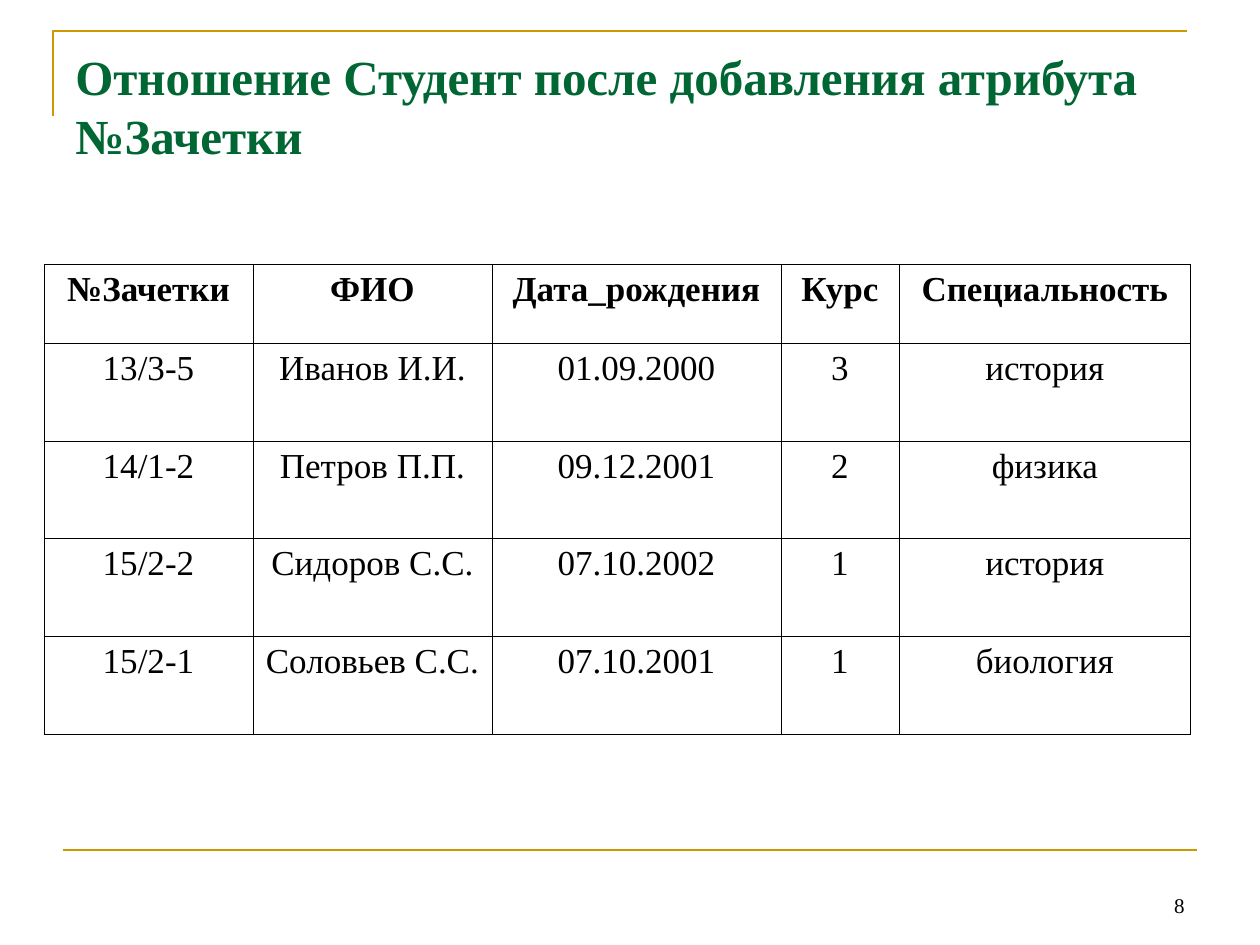
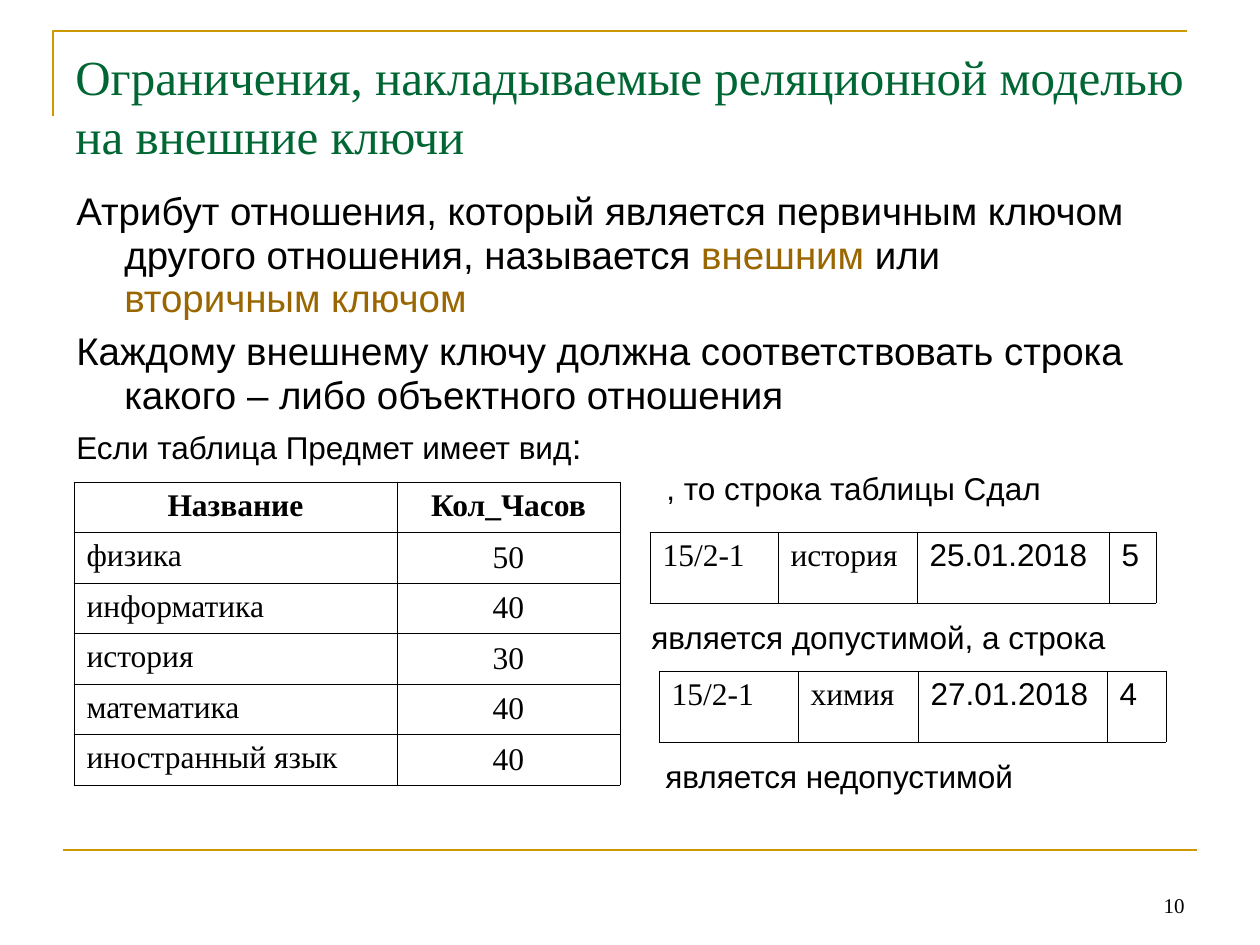
import pptx
import pptx.util
import pptx.dml.color
import pptx.enum.shapes
import pptx.enum.text
import pptx.oxml
import pptx.oxml.ns
import pptx.oxml.xmlchemy

SERIF, SANS = "Times New Roman", "Arial"
COLORS = {"gold": "CC9900", "green": "006633", "brown": "996600", "black": "000000"}
ALIGN = pptx.enum.text.PP_ALIGN
ANCHOR = pptx.enum.text.MSO_ANCHOR

STUDENTS = [
    ("№Зачетки", "ФИО", "Дата_рождения", "Курс", "Специальность"),
    ("13/3-5", "Иванов И.И.", "01.09.2000", "3", "история"),
    ("14/1-2", "Петров П.П.", "09.12.2001", "2", "физика"),
    ("15/2-2", "Сидоров С.С.", "07.10.2002", "1", "история"),
    ("15/2-1", "Соловьев С.С.", "07.10.2001", "1", "биология"),
]
SUBJECTS = [
    ("Название", "Кол_Часов"),
    ("физика", "50"),
    ("информатика", "40"),
    ("история", "30"),
    ("математика", "40"),
    ("иностранный язык", "40"),
]
KEY_RULES = [
    [("Атрибут отношения, который является первичным ключом другого отношения, называется ", 22, "black"),
     ("внешним", 22, "brown"), (" или ", 22, "black"), ("вторичным ключом", 22, "brown")],
    [("Каждому внешнему ключу должна соответствовать строка какого – либо объектного отношения", 22, "black")],
    [("Если таблица Предмет имеет вид", 18, "black"), (":", 20, "black")],
]
EXAM_ROWS = [
    ((650, 532), (128, 139, 192, 47), ("15/2-1", "история", "25.01.2018", "5")),
    ((659, 671), (139, 120, 189, 59), ("15/2-1", "химия", "27.01.2018", "4")),
]
CAPTIONS = [
    (654, 463, ", то строка таблицы Сдал"),
    (639, 612, "является допустимой, а строка"),
    (653, 751, "является недопустимой"),
]


def px(length):
    return pptx.util.Emu(round(length * 914400 / 126))


def color(name):
    return pptx.dml.color.RGBColor.from_string(COLORS[name])


def add_run(para, text, size, font=SERIF, tint="black", bold=False):
    span = para.add_run()
    span.text = text
    span.font.size = pptx.util.Pt(size)
    span.font.name = font
    span.font.bold = bold
    span.font.color.rgb = color(tint)


def add_box(page, left, top, width, height, anchor=ANCHOR.TOP):
    frame = page.shapes.add_textbox(px(left), px(top), px(width), px(height)).text_frame
    frame.word_wrap = True
    frame.vertical_anchor = anchor
    return frame


def style_line(shape):
    shape.line.color.rgb = color("gold")
    shape.line.width = pptx.util.Pt(1.5)


def add_page(deck, title, title_width, bold, number):
    page = deck.slides.add_slide(deck.slide_layouts[6])

    builder = page.shapes.build_freeform(px(53), px(116))
    builder.add_line_segments([(px(53), px(31)), (px(1187), px(31))], close=False)
    corner = builder.convert_to_shape()
    corner.shadow.inherit = False
    corner.fill.background()
    style_line(corner)

    rule = page.shapes.add_connector(
        pptx.enum.shapes.MSO_CONNECTOR.STRAIGHT, px(63), px(850), px(1197), px(850))
    style_line(rule)
    rule._element.spPr.append(pptx.oxml.xmlchemy.OxmlElement("a:effectLst"))

    para = add_box(page, 63, 40, title_width, 139).paragraphs[0]
    para.line_spacing = pptx.util.Pt(33.7)
    add_run(para, title, 28, tint="green", bold=bold)

    para = add_box(page, 903, 861, 294, 63, ANCHOR.BOTTOM).paragraphs[0]
    para.alignment = ALIGN.RIGHT
    add_run(para, number, 12)
    return page


def outline_cell(cell):
    properties = cell._tc.get_or_add_tcPr()
    for index, side in enumerate("LRTB"):
        border = pptx.oxml.parse_xml(
            f'<a:ln{side} {pptx.oxml.ns.nsdecls("a")} w="5715"><a:solidFill>'
            f'<a:srgbClr val="{COLORS["black"]}"/></a:solidFill></a:ln{side}>')
        properties.insert(index, border)


def add_grid(page, origin, widths, heights, rows, size, style):
    left, top = origin
    grid = page.shapes.add_table(
        len(rows), len(widths), px(left), px(top), px(sum(widths)), px(sum(heights))).table
    grid.first_row = grid.horz_banding = False
    for column, width in zip(grid.columns, widths):
        column.width = px(width)
    for row, height in zip(grid.rows, heights):
        row.height = px(height)
    for row_index, row in enumerate(rows):
        for column_index, text in enumerate(row):
            cell = grid.cell(row_index, column_index)
            cell.fill.background()
            outline_cell(cell)
            look = {"font": SERIF, "bold": False, "align": ALIGN.LEFT, "anchor": ANCHOR.TOP}
            look.update(style(row_index, column_index))
            cell.vertical_anchor = look["anchor"]
            if look["align"] == ALIGN.CENTER:
                cell.margin_left = cell.margin_right = px(10)
            para = cell.text_frame.paragraphs[0]
            para.alignment = look["align"]
            add_run(para, text, size, look["font"], bold=look["bold"])


def student_style(row, column):
    return {"bold": row == 0, "align": ALIGN.CENTER}


def subject_style(row, column):
    if row == 0:
        return {"bold": True, "align": ALIGN.CENTER}
    return {"align": ALIGN.CENTER, "anchor": ANCHOR.MIDDLE} if column == 1 else {}


def exam_style(row, column):
    return {"font": SANS if column > 1 else SERIF}


def build_student_page(deck):
    page = add_page(deck, "Отношение Студент после добавления атрибута №Зачетки", 1099, True, "8")
    add_grid(page, (44, 264), (209, 239, 289, 118, 292), (79, 98, 97, 98, 98),
             STUDENTS, 20, student_style)


def build_key_page(deck):
    page = add_page(deck, "Ограничения, накладываемые реляционной моделью на внешние ключи",
                    1150, False, "10")
    frame = add_box(page, 64, 185, 1086, 301)
    for index, spans in enumerate(KEY_RULES):
        para = frame.add_paragraph() if index else frame.paragraphs[0]
        para.line_spacing = 0.94
        if index:
            para.space_before = pptx.util.Pt(5.5)
        properties = para._p.get_or_add_pPr()
        properties.set("marL", str(px(48)))
        properties.set("indent", str(px(-48)))
        for text, size, tint in spans:
            add_run(para, text, size, SANS, tint)

    add_grid(page, (74, 482), (323, 223), [50.5] * len(SUBJECTS), SUBJECTS, 18, subject_style)
    for origin, widths, row in EXAM_ROWS:
        add_grid(page, origin, widths, [71], [row], 18, exam_style)
    for left, top, text in CAPTIONS:
        para = add_box(page, left, top, 500, 50, ANCHOR.MIDDLE).paragraphs[0]
        add_run(para, text, 18, SANS)


def main():
    deck = pptx.Presentation()
    deck.slide_width, deck.slide_height = px(1260), px(945)
    build_student_page(deck)
    build_key_page(deck)
    deck.save("out.pptx")


if __name__ == "__main__":
    main()
